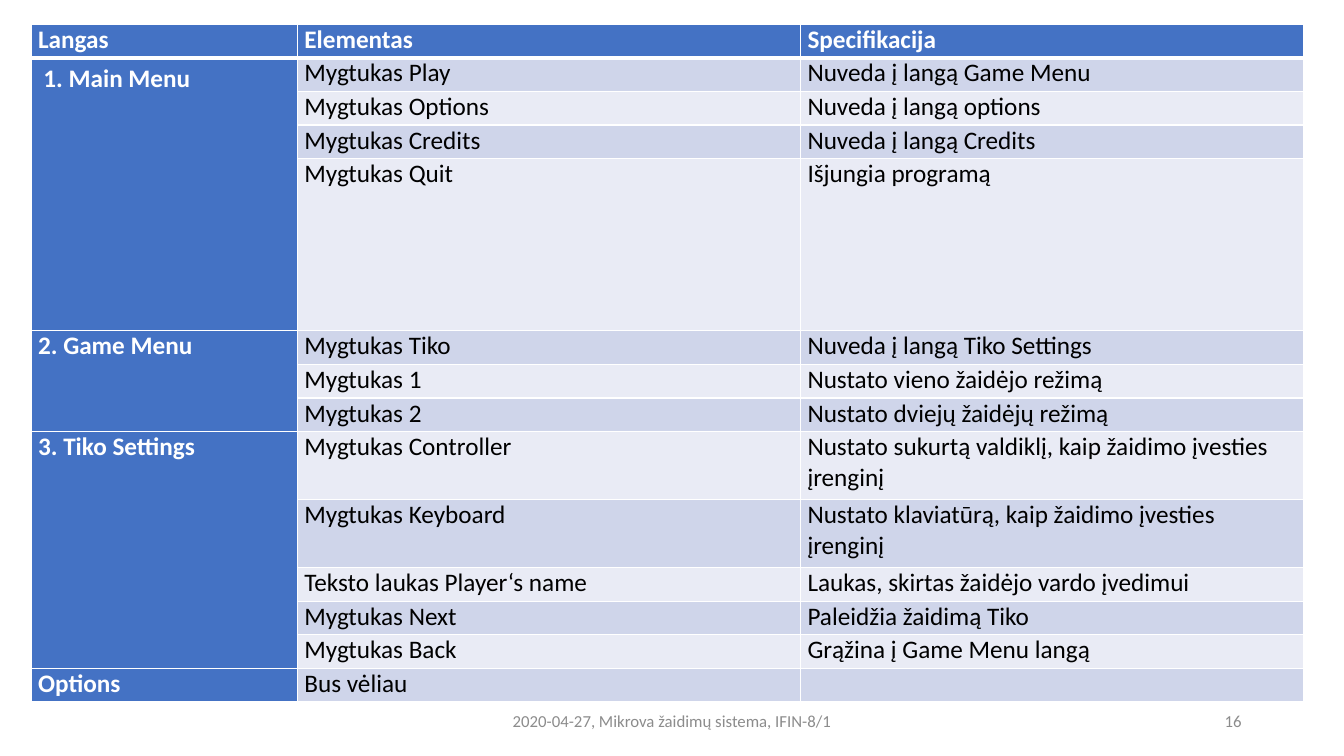
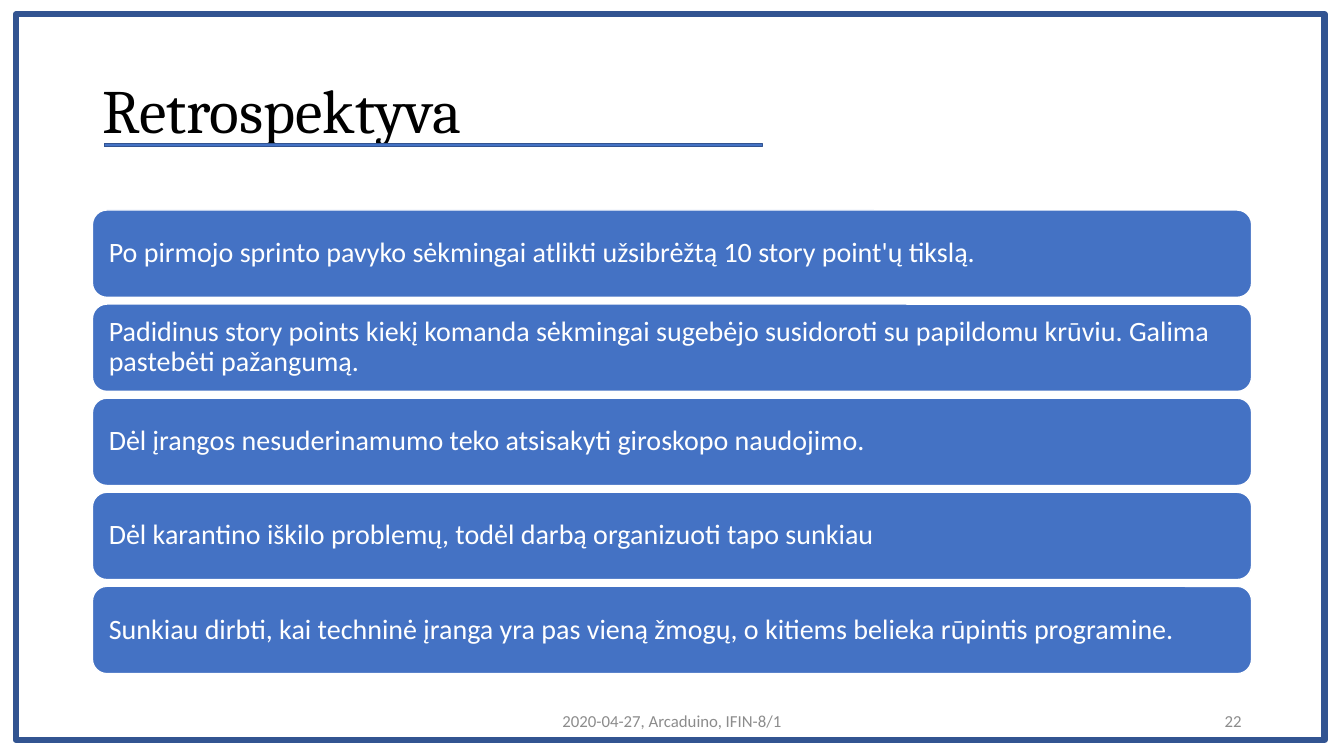
from lxml.etree import SubElement
from pptx import Presentation
from pptx.dml.color import RGBColor
from pptx.enum.shapes import MSO_SHAPE as SHAPE
from pptx.enum.text import MSO_ANCHOR as ANCHOR, PP_ALIGN as ALIGN
from pptx.oxml.ns import qn
from pptx.util import Inches, Pt

COLS, ROWS = 160, 90
BLUE, DARK, WHITE, BLACK, GREY = "4472C4", "325491", "FFFFFF", "000000", "8C8C8C"
BANDS = ("E9EBF5", "CFD5EA")

HEADER = ("Langas", "Elementas", "Specifikacija")
WINDOWS = [
    ("", [
        ("Mygtukas Play", "Nuveda į langą Game Menu", 4),
        ("Mygtukas Options", "Nuveda į langą options", 4),
        ("Mygtukas Credits", "Nuveda į langą Credits", 4),
        ("Mygtukas Quit", "Išjungia programą", 20.5),
    ]),
    ("2. Game Menu", [
        ("Mygtukas Tiko", "Nuveda į langą Tiko Settings", 4),
        ("Mygtukas 1", "Nustato vieno žaidėjo režimą", 4),
        ("Mygtukas 2", "Nustato dviejų žaidėjų režimą", 4),
    ]),
    ("3. Tiko Settings", [
        ("Mygtukas Controller", "Nustato sukurtą valdiklį, kaip žaidimo įvesties įrenginį", 8.1),
        ("Mygtukas Keyboard", "Nustato klaviatūrą, kaip žaidimo įvesties įrenginį", 8.1),
        ("Teksto laukas Player‘s name", "Laukas, skirtas žaidėjo vardo įvedimui", 4),
        ("Mygtukas Next", "Paleidžia žaidimą Tiko", 4),
        ("Mygtukas Back", "Grąžina į Game Menu langą", 4),
    ]),
    ("Options", [("Bus vėliau", "", 4)]),
]
LESSONS = [
    "Po pirmojo sprinto pavyko sėkmingai atlikti užsibrėžtą 10 story point'ų tikslą.",
    "Padidinus story points kiekį komanda sėkmingai sugebėjo susidoroti su papildomu krūviu. "
    "Galima pastebėti pažangumą.",
    "Dėl įrangos nesuderinamumo teko atsisakyti giroskopo naudojimo.",
    "Dėl karantino iškilo problemų, todėl darbą organizuoti tapo sunkiau",
    "Sunkiau dirbti, kai techninė įranga yra pas vieną žmogų, o kitiems belieka rūpintis programine.",
]


def rgb(color):
    return RGBColor.from_string(color)


class Deck:
    def __init__(self):
        self.prs = Presentation()
        self.prs.slide_width, self.prs.slide_height = Inches(13.33), Inches(7.5)
        self.s = None

    def x(self, cols):
        return round(self.prs.slide_width * cols / COLS)

    def y(self, rows):
        return round(self.prs.slide_height * rows / ROWS)

    def area(self, left, top, width, height):
        return self.x(left), self.y(top), self.x(width), self.y(height)

    def slide(self, title=None):
        self.s = self.prs.slides.add_slide(self.prs.slide_layouts[5 if title else 6])
        if title:
            sp = self.s.shapes.title
            sp.left, sp.top, sp.width, sp.height = self.area(11, 4.8, 138, 17.4)
            self.style_text(sp.text_frame, title, 44, BLACK, font="Cambria", spacing=0.9)

    def style_text(self, tf, text, size, color, bold=False, font="Calibri",
                   align=ALIGN.LEFT, anchor=ANCHOR.MIDDLE, spacing=1.0):
        tf.word_wrap = True
        tf.vertical_anchor = anchor
        tf.text = text
        p = tf.paragraphs[0]
        p.alignment, p.line_spacing = align, spacing
        for r in p.runs:
            r.font.name, r.font.size, r.font.bold = font, Pt(size), bold
            r.font.color.rgb = rgb(color)

    def label(self, area, text, size, color, **style):
        sp = self.s.shapes.add_textbox(*self.area(*area))
        self.style_text(sp.text_frame, text, size, color, **style)

    def footer(self, text, number):
        self.label((53, 83.4, 54, 4.8), text, 12, GREY, align=ALIGN.CENTER)
        self.label((113, 83.4, 36, 4.8), number, 12, GREY, align=ALIGN.RIGHT)

    def shape(self, kind, area, fill, line, width):
        sp = self.s.shapes.add_shape(kind, *self.area(*area))
        sp.shadow.inherit = False
        if fill:
            sp.fill.solid()
            sp.fill.fore_color.rgb = rgb(fill)
        else:
            sp.fill.background()
        sp.line.color.rgb, sp.line.width = rgb(line), Pt(width)
        return sp

    def bar(self, area, text):
        sp = self.shape(SHAPE.ROUNDED_RECTANGLE, area, BLUE, WHITE, 1)
        tf = sp.text_frame
        tf.margin_left = tf.margin_right = Inches(0.12)
        self.style_text(tf, text, 20, WHITE, spacing=0.9)

    def cell(self, cell, text, fill, color, bold=False, bottom=1):
        cell.margin_left = cell.margin_right = Inches(0.07)
        cell.margin_top = cell.margin_bottom = 0
        tc_pr = cell._tc.get_or_add_tcPr()
        for side, width in zip("LRTB", (1, 1, 1, bottom)):
            ln = SubElement(tc_pr, qn(f"a:ln{side}"), w=str(Pt(width)))
            SubElement(SubElement(ln, qn("a:solidFill")), qn("a:srgbClr"), val=WHITE)
        cell.fill.solid()
        cell.fill.fore_color.rgb = rgb(fill)
        self.style_text(cell.text_frame, text, 18, color, bold, anchor=ANCHOR.TOP)
        cell.vertical_anchor = ANCHOR.TOP

    def table(self, left, top, widths, header, groups):
        heights = [4] + [row[-1] for _, rows in groups for row in rows]
        frame = self.s.shapes.add_table(
            len(heights), len(widths), *self.area(left, top, sum(widths), sum(heights)))
        tbl = frame.table
        for col, width in zip(tbl.columns, widths):
            col.width = self.x(width)
        for row, height in zip(tbl.rows, heights):
            row.height = self.y(height)
        for j, text in enumerate(header):
            self.cell(tbl.cell(0, j), text, BLUE, WHITE, True, bottom=3)
        i = 1
        for name, rows in groups:
            first = i
            for *texts, _ in rows:
                self.cell(tbl.cell(i, 0), name if i == first else "", BLUE, WHITE, True)
                for j, text in enumerate(texts, 1):
                    self.cell(tbl.cell(i, j), text, BANDS[i % 2], BLACK)
                i += 1
            if len(rows) > 1:
                tbl.cell(first, 0).merge(tbl.cell(i - 1, 0))


def main():
    d = Deck()

    d.slide()
    d.table(3.7, 2.9, (31.7, 59.9, 59.9), HEADER, WINDOWS)
    d.footer("2020-04-27, Mikrova žaidimų sistema, IFIN-8/1", "16")
    d.label((4, 6.8, 36, 4.8), "1. Main Menu", 18, WHITE, bold=True, anchor=ANCHOR.TOP)

    d.slide("Retrospektyva")
    d.footer("2020-04-27, Arcaduino, IFIN-8/1", "22")
    d.shape(SHAPE.RECTANGLE, (1.9, 1.7, 155.8, 86.4), None, DARK, 4.5)
    d.shape(SHAPE.MATH_MINUS, (-1.7, 16.3, 106.6, 1.9), BLUE, DARK, 0.5)
    for i, text in enumerate(LESSONS):
        d.bar((11, 25 + 11.2 * i, 138, 10.4), text)

    d.prs.save("out.pptx")


if __name__ == "__main__":
    main()
